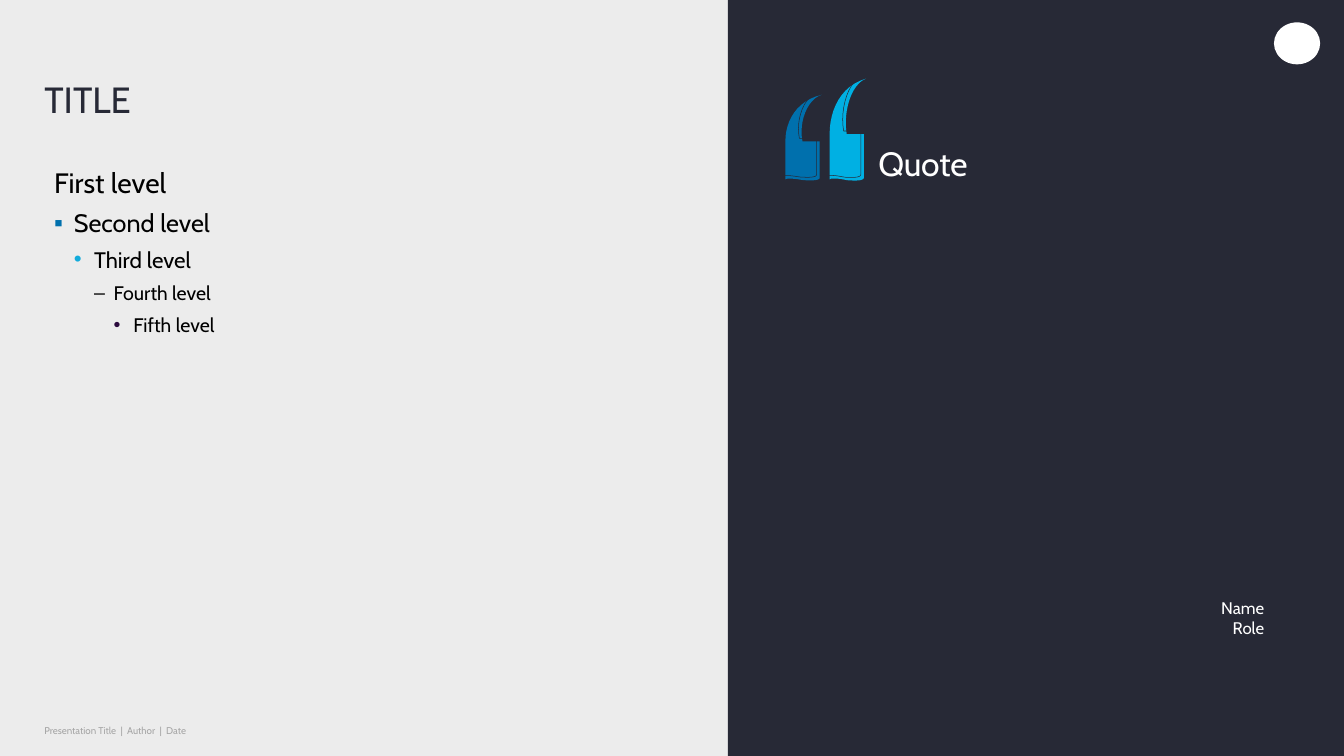
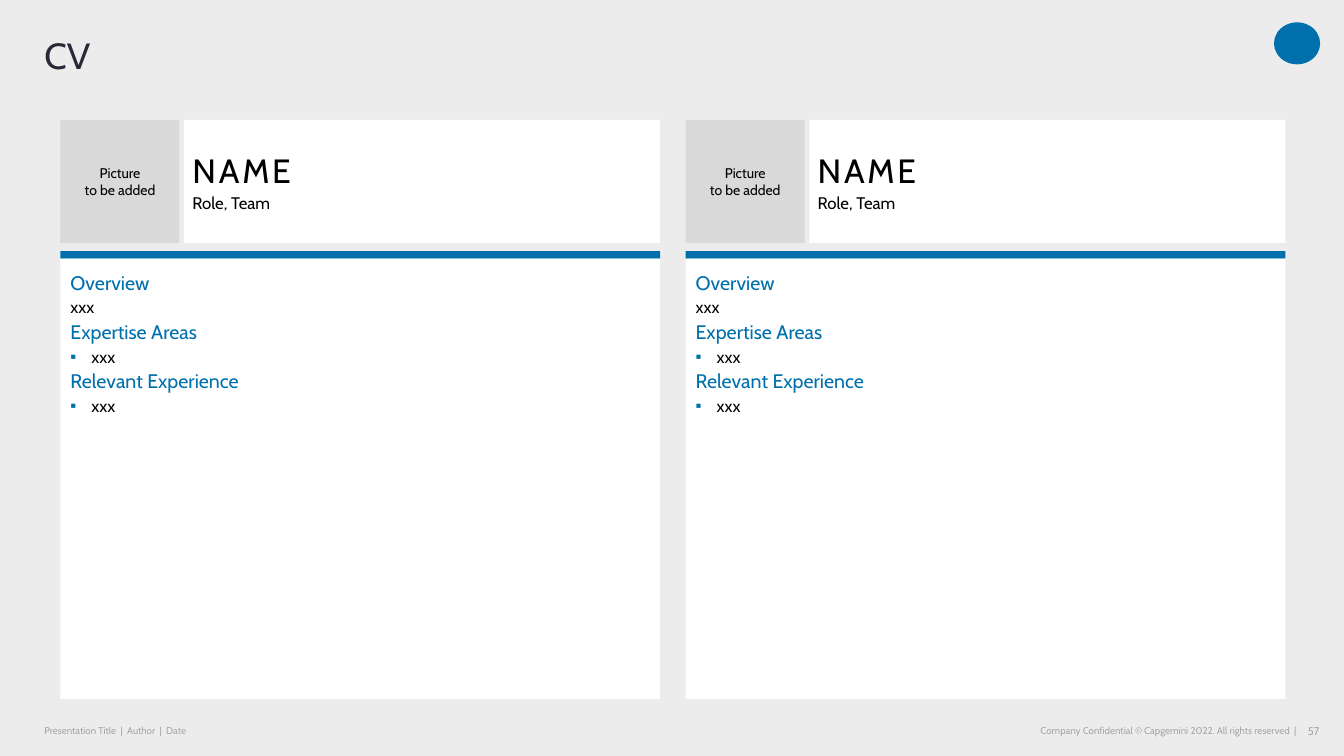
from dataclasses import dataclass
from typing import NamedTuple, Optional, Union

from lxml import etree
from pptx import Presentation
from pptx.dml.color import RGBColor
from pptx.enum.shapes import MSO_SHAPE
from pptx.enum.text import MSO_ANCHOR, PP_ALIGN
from pptx.oxml.ns import qn
from pptx.util import Length, Pt

RECTANGLE, OVAL = MSO_SHAPE.RECTANGLE, MSO_SHAPE.OVAL
TOP, MIDDLE, BOTTOM = MSO_ANCHOR.TOP, MSO_ANCHOR.MIDDLE, MSO_ANCHOR.BOTTOM
LEFT, CENTER, RIGHT = PP_ALIGN.LEFT, PP_ALIGN.CENTER, PP_ALIGN.RIGHT


@dataclass(frozen=True)
class Theme:
    font: str = "Cabin"
    page: str = "ECECEC"
    dark: str = "272936"
    blue: str = "0070AD"
    cyan: str = "12ABDB"
    bright: str = "00B0E3"
    violet: str = "2B0A3D"
    grey: str = "D9D9D9"
    muted: str = "A6A6A6"
    white: str = "FFFFFF"
    black: str = "000000"
    title: float = 26
    display: float = 24
    first: float = 20
    second: float = 18
    third: float = 16
    heading: float = 14
    text: float = 12
    caption: float = 10
    page_number: float = 8
    footer: float = 7


THEME = Theme()


class Box(NamedTuple):
    left: float
    top: float
    width: float
    height: float


class Insets(NamedTuple):
    left: float = 0
    top: float = 0
    right: float = 0
    bottom: float = 0


class Bullet(NamedTuple):
    char: str
    color: str


@dataclass(frozen=True)
class Line:
    text: str
    size: float
    color: str = THEME.black
    align: PP_ALIGN = LEFT
    level: int = 0
    margin: float = 0
    hanging: float = 0
    bullet: Optional[Bullet] = None
    after: float = 0
    spacing: Union[float, Length, None] = None
    tracking: float = 0


class QuoteMark(NamedTuple):
    left: float
    top: float
    stretch: float
    color: str


STANDARD = Insets(7.2, 3.6, 7.2, 3.6)
SQUARE = Bullet("▪", THEME.blue)

OUTLINE_START = (26, 0)
OUTLINE = [
    [(8, 5), (0, 22.3), (0, 39.6)],
    [(0, 72)],
    [(0.7, 71.3), (2, 71.3), (3, 71.3)],
    [(8, 71.3), (12.2, 72.7), (14.4, 72.7)],
    [(16.6, 72.7), (24.5, 73.4), (24.5, 70.5)],
    [(24.5, 39.6)],
    [(12.2, 39.6)],
    [(9.4, 23), (15.8, 3.6), (26, 0)],
]
QUOTE_MARKS = [
    QuoteMark(561, 67.7, 0.84, THEME.blue),
    QuoteMark(592.6, 56.2, 1, THEME.bright),
]
ENGRAVING_SHIFT = 2.2
CURVE_STEPS = 12

LEVELS = [
    Line("First level", THEME.first, after=6),
    Line("Second level", THEME.second, level=1, margin=14, hanging=14,
         bullet=SQUARE, after=6),
    Line("Third level", THEME.third, level=2, margin=28.5, hanging=14.5,
         bullet=Bullet("•", THEME.cyan), after=6),
    Line("Fourth level", THEME.heading, level=3, margin=42.5, hanging=14,
         bullet=Bullet("–", THEME.black), after=6),
    Line("Fifth level", THEME.heading, level=4, margin=56.5, hanging=14,
         bullet=Bullet("•", THEME.violet), after=6),
]


def heading(text: str) -> Line:
    return Line(text, THEME.heading, THEME.blue, after=2)


PLAIN_ENTRY = Line("xxx", THEME.text, level=1, after=2)
LISTED_ENTRY = Line("xxx", THEME.text, level=1, margin=15, hanging=15,
                    bullet=SQUARE, after=2)
CV_SECTIONS = [
    heading("Overview"), PLAIN_ENTRY,
    heading("Expertise Areas"), LISTED_ENTRY,
    heading("Relevant Experience"), LISTED_ENTRY,
]


def rgb(color: str) -> RGBColor:
    return RGBColor.from_string(color)


def write_line(paragraph, line: Line) -> None:
    properties = paragraph._p.get_or_add_pPr()
    properties.set("marL", str(Pt(line.margin)))
    properties.set("indent", str(-Pt(line.hanging)))
    if line.bullet:
        tint = etree.SubElement(properties, qn("a:buClr"))
        etree.SubElement(tint, qn("a:srgbClr"), val=line.bullet.color)
        etree.SubElement(properties, qn("a:buFont"), typeface="Arial")
        etree.SubElement(properties, qn("a:buChar"), char=line.bullet.char)
    paragraph.level = line.level
    paragraph.alignment = line.align
    paragraph.space_after = Pt(line.after)
    if line.spacing is not None:
        paragraph.line_spacing = line.spacing
    for index, part in enumerate(line.text.split("\n")):
        if index:
            paragraph.add_line_break()
        run = paragraph.add_run()
        run.text = part
        run.font.name = THEME.font
        run.font.size = Pt(line.size)
        run.font.color.rgb = rgb(line.color)
        if line.tracking:
            run._r.get_or_add_rPr().set("spc", str(round(line.tracking * 100)))


def fill_frame(frame, lines: list[Line], insets: Insets, anchor: MSO_ANCHOR) -> None:
    frame.word_wrap = True
    frame.vertical_anchor = anchor
    frame.margin_left, frame.margin_top, frame.margin_right, frame.margin_bottom = map(Pt, insets)
    for index, line in enumerate(lines):
        paragraph = frame.add_paragraph() if index else frame.paragraphs[0]
        write_line(paragraph, line)


def add_text(slide, box: Box, lines: list[Line], insets: Insets = Insets(),
             anchor: MSO_ANCHOR = TOP) -> None:
    frame = slide.shapes.add_textbox(*map(Pt, box)).text_frame
    fill_frame(frame, lines, insets, anchor)


def add_block(slide, box: Box, color: str, lines: Optional[list[Line]] = None,
              insets: Insets = STANDARD, anchor: MSO_ANCHOR = MIDDLE,
              preset: MSO_SHAPE = RECTANGLE) -> None:
    block = slide.shapes.add_shape(preset, *map(Pt, box))
    block.shadow.inherit = False
    block.fill.solid()
    block.fill.fore_color.rgb = rgb(color)
    block.line.fill.background()
    if lines:
        fill_frame(block.text_frame, lines, insets, anchor)


def add_title(slide, text: str, bottom: float, width: float) -> None:
    add_text(slide, Box(31.7, bottom - 40, width, 40),
             [Line(text, THEME.title, THEME.dark, spacing=0.9)], anchor=BOTTOM)


def add_emblem(slide, color: str) -> None:
    add_block(slide, Box(910, 16, 33, 30), color, preset=OVAL)


def add_footer(slide, left: float, width: float, text: str,
               align: PP_ALIGN = LEFT, size: float = THEME.footer) -> None:
    add_text(slide, Box(left, 513.4, width, 17.3),
             [Line(text, size, THEME.muted, align)], anchor=MIDDLE)


def new_slide(deck):
    slide = deck.slides.add_slide(deck.slide_layouts[6])
    slide.background.fill.solid()
    slide.background.fill.fore_color.rgb = rgb(THEME.page)
    add_footer(slide, 31.7, 268.6, "Presentation Title  |  Author  |  Date")
    return slide


def outline_points() -> list[tuple[float, float]]:
    points = [OUTLINE_START]
    for segment in OUTLINE:
        if len(segment) == 1:
            points += segment
            continue
        controls = [points[-1], *segment]
        for step in range(1, CURVE_STEPS + 1):
            t = step / CURVE_STEPS
            weights = ((1 - t) ** 3, 3 * t * (1 - t) ** 2, 3 * t * t * (1 - t), t ** 3)
            points.append(tuple(sum(w * c[axis] for w, c in zip(weights, controls))
                                for axis in (0, 1)))
    return points


def add_quote_mark(slide, mark: QuoteMark, shift: float = 0):
    points = [(Pt(mark.left - shift + x), Pt(mark.top - shift + y * mark.stretch))
              for x, y in outline_points()]
    builder = slide.shapes.build_freeform(*points[0], scale=1.0)
    builder.add_line_segments(points[1:], close=True)
    outline = builder.convert_to_shape()
    outline.shadow.inherit = False
    return outline


def add_quote_marks(slide) -> None:
    for mark in QUOTE_MARKS:
        solid = add_quote_mark(slide, mark)
        solid.fill.solid()
        solid.fill.fore_color.rgb = rgb(mark.color)
        solid.line.fill.background()
    for mark in QUOTE_MARKS:
        engraving = add_quote_mark(slide, mark, ENGRAVING_SHIFT)
        engraving.fill.background()
        engraving.line.color.rgb = rgb(THEME.dark)
        engraving.line.width = Pt(0.38)


def build_quote_slide(deck) -> None:
    slide = new_slide(deck)
    add_title(slide, "TITLE", 86.4, 471)
    add_block(slide, Box(31.7, 109.4, 471, 382.3), THEME.page, LEVELS,
              Insets(7.2, 8.6), TOP)
    add_block(slide, Box(520, 0, 440, 540), THEME.dark)
    add_emblem(slide, THEME.white)
    add_quote_marks(slide)
    add_text(slide, Box(577.4, 90, 333.4, 40),
             [Line("Quote", THEME.display, THEME.white, margin=50,
                   spacing=Pt(40), tracking=-0.1)], Insets(top=0.7))
    add_text(slide, Box(774.7, 423.4, 135.4, 36),
             [Line(text, THEME.text, THEME.white, RIGHT) for text in ("Name", "Role")],
             STANDARD)


def add_cv(slide, left: float) -> None:
    width, photo_width, gap = 428.4, 85, 3.4
    name_left = left + photo_width + gap
    add_block(slide, Box(left, 85.7, photo_width, 87.8), THEME.grey,
              [Line("Picture\nto be added", THEME.caption, align=CENTER)])
    add_block(slide, Box(name_left, 85.7, width - photo_width - gap, 87.8), THEME.white,
              [Line("NAME", THEME.display, after=2, tracking=2),
               Line("Role, Team", THEME.text, after=2)],
              Insets(5.8, 2.9, 0, 2.9))
    add_block(slide, Box(left, 179.3, width, 5.4), THEME.blue)
    add_block(slide, Box(left, 184.7, width, 314.6), THEME.white, CV_SECTIONS,
              Insets(7.2, 8.6, 7.2, 3.6), TOP)


def build_cv_slide(deck) -> None:
    slide = new_slide(deck)
    add_emblem(slide, THEME.blue)
    add_footer(slide, 568.8, 357.1,
               "Company Confidential © Capgemini 2022. All rights reserved  |", RIGHT)
    add_footer(slide, 924.5, 18, "57", RIGHT, THEME.page_number)
    add_title(slide, "CV", 55.4, 862)
    for column in range(2):
        add_cv(slide, 43.2 + column * 446.6)


def main() -> None:
    deck = Presentation()
    deck.slide_width, deck.slide_height = Pt(960), Pt(540)
    build_quote_slide(deck)
    build_cv_slide(deck)
    deck.save("out.pptx")


if __name__ == "__main__":
    main()
